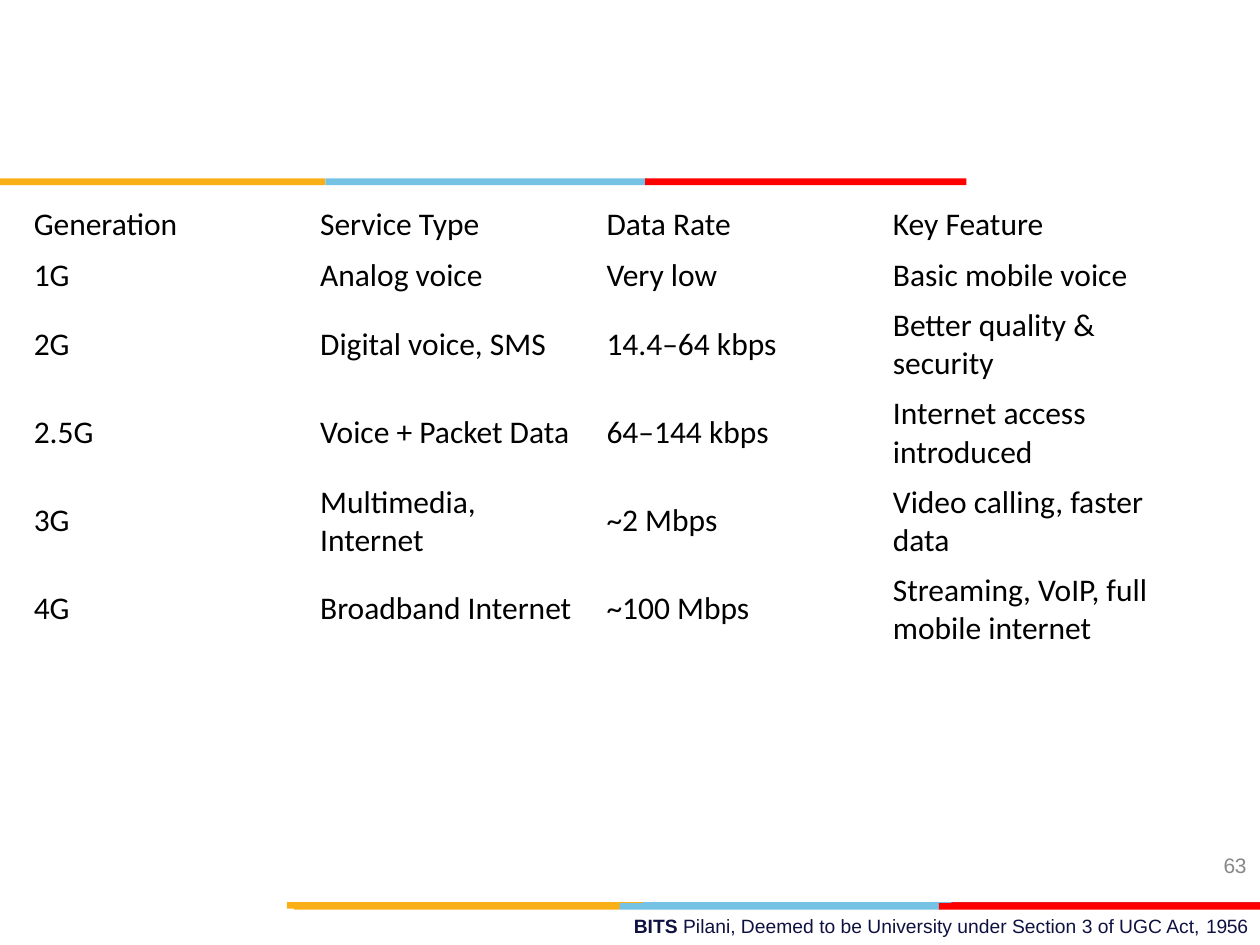
"""Builds a slide comparing mobile network generations."""
from pptx import Presentation
from pptx.dml.color import RGBColor
from pptx.enum.shapes import MSO_SHAPE
from pptx.enum.text import MSO_ANCHOR, MSO_AUTO_SIZE
from pptx.util import Pt

ROWS = [
    ("Generation", "Service Type", "Data Rate", "Key Feature"),
    ("1G", "Analog voice", "Very low", "Basic mobile voice"),
    ("2G", "Digital voice, SMS", "14.4–64 kbps", "Better quality & security"),
    ("2.5G", "Voice + Packet Data", "64–144 kbps", "Internet access introduced"),
    ("3G", "Multimedia, Internet", "~2 Mbps", "Video calling, faster data"),
    ("4G", "Broadband Internet", "~100 Mbps", "Streaming, VoIP, full mobile internet"),
]
PAGE = [("63", False)]
FOOTER = [
    ("BITS ", True),
    ("Pilani, Deemed to be University under Section 3 of UGC Act, ", False),
    ("1956", False),
]
THEME = {
    "gold": "FBAF17", "blue": "76C2E4", "crimson": "E21C23", "red": "FF0000",
    "ink": "000000", "grey": "888888", "navy": "0F1141",
    "body": "Calibri", "small": "Arial",
    "cell": 18, "page": 12, "foot": 11,
}
BANDS = [
    (515.5, [("blue", 364.3, 548), ("crimson", 543.6, 720), ("gold", 164, 367.2)]),
    (516.1, [("blue", 354, 537.4), ("gold", 168, 354), ("red", 536.5, 720)]),
    (102, [("blue", 185.9, 369.4), ("gold", 0, 185.9), ("red", 368.6, 552.2)]),
]
THICK = 3.8
LEFT, TOP, COL = 12.1, 113.9, 163.65
SHORT, TALL = 28.8, 50.4


def style(font, face, size, color):
    font.name = THEME[face]
    font.size = Pt(THEME[size])
    font.color.rgb = RGBColor.from_string(THEME[color])


def add_bar(slide, color, left, right, top):
    bar = slide.shapes.add_shape(
        MSO_SHAPE.RECTANGLE, Pt(left), Pt(top), Pt(right - left), Pt(THICK))
    bar.shadow.inherit = False
    bar.fill.solid()
    bar.fill.fore_color.rgb = RGBColor.from_string(THEME[color])
    bar.line.fill.background()


def add_note(slide, parts, spot, size, color):
    frame = slide.shapes.add_textbox(*map(Pt, spot)).text_frame
    frame.word_wrap = True
    frame.auto_size = MSO_AUTO_SIZE.SHAPE_TO_FIT_TEXT
    frame.margin_left = frame.margin_right = 0
    frame.margin_top = frame.margin_bottom = 0
    para = frame.paragraphs[0]
    for text, bold in parts:
        run = para.add_run()
        run.text = text
        style(run.font, "small", size, color)
        run.font.bold = bold
    run.font._element.set("spc", "-20")
    return para


def add_grid(slide):
    heights = [SHORT if i < 2 else TALL for i in range(len(ROWS))]
    count = len(ROWS[0])
    grid = slide.shapes.add_table(
        len(ROWS), count, Pt(LEFT), Pt(TOP), Pt(COL * count), Pt(sum(heights))).table
    grid.first_row = grid.horz_banding = False
    for col in grid.columns:
        col.width = Pt(COL)
    for row, height, texts in zip(grid.rows, heights, ROWS):
        row.height = Pt(height)
        for cell, text in zip(row.cells, texts):
            cell.text_frame.text = text
            cell.vertical_anchor = MSO_ANCHOR.MIDDLE
            cell.fill.background()
            style(cell.text_frame.paragraphs[0].runs[0].font, "body", "cell", "ink")


def main():
    deck = Presentation()
    deck.slide_width, deck.slide_height = Pt(720), Pt(540)
    slide = deck.slides.add_slide(deck.slide_layouts[6])
    for top, bars in BANDS:
        for color, left, right in bars:
            add_bar(slide, color, left, right, top)
    page = add_note(slide, PAGE, (699.2, 487.4, 17.3, 15.1), "page", "grey")
    page.line_spacing = Pt(14.2)
    add_note(slide, FOOTER, (362.2, 522.7, 354, 14.4), "foot", "navy")
    add_grid(slide)
    deck.save("out.pptx")


if __name__ == "__main__":
    main()
